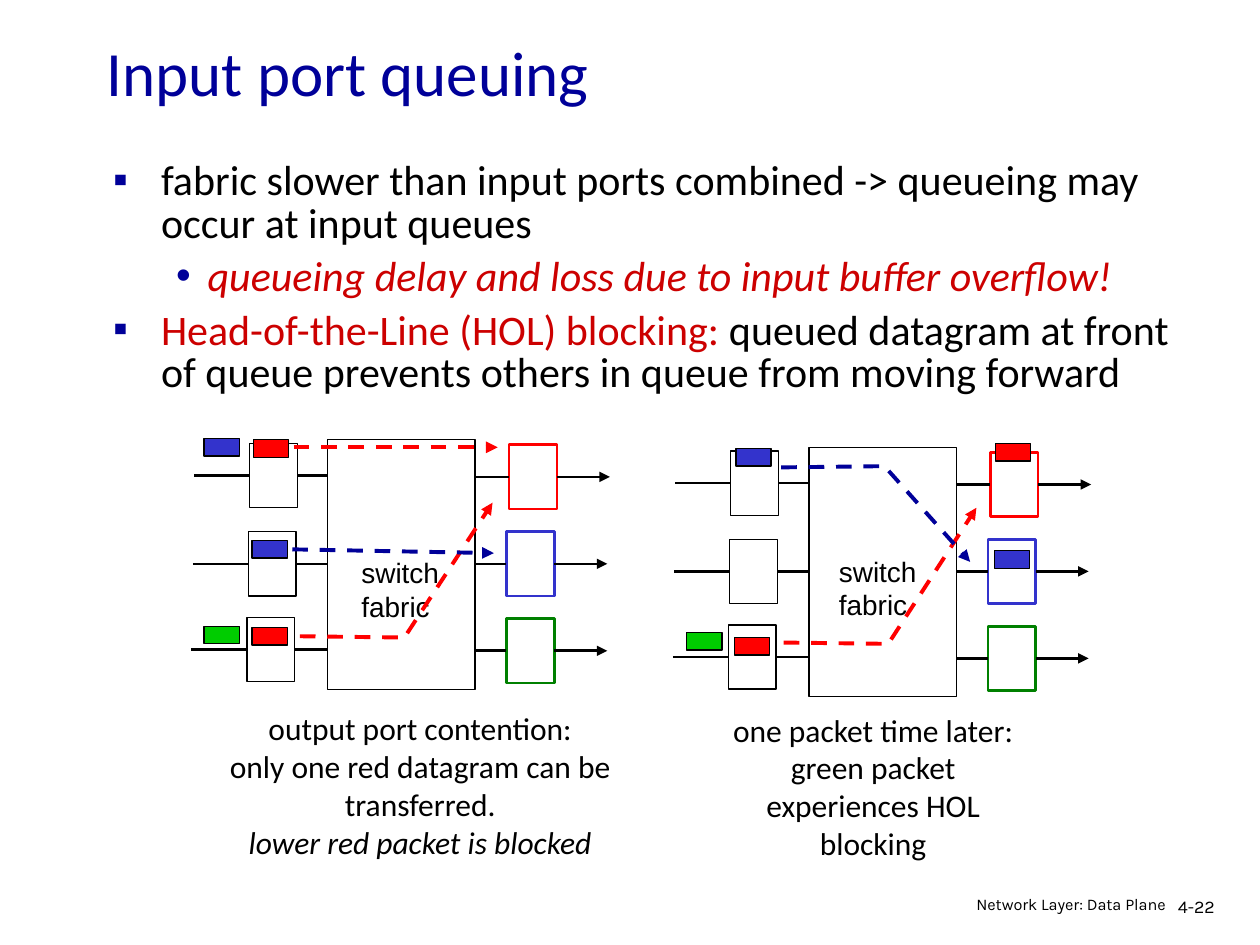
from lxml.etree import SubElement as sub_element
from pptx import Presentation
from pptx.dml.color import RGBColor as Rgb
from pptx.enum.dml import MSO_LINE_DASH_STYLE as Dash
from pptx.enum.shapes import MSO_CONNECTOR as Connector, MSO_SHAPE as Shape
from pptx.enum.text import MSO_ANCHOR as Anchor, PP_ALIGN as Align
from pptx.oxml.ns import qn
from pptx.util import Inches, Pt

COLORS = {"black": "000000", "white": "FFFFFF", "navy": "000099", "crimson": "CC0000",
          "red": "FF0000", "blue": "3333CC", "green": "008000", "lime": "00CC00"}
LEFT, RIGHT = 1, 3  # connection sites of a rectangle


def color(name):
    return Rgb.from_string(COLORS[name])


class SlideBuilder:
    """Holds the slide and the shared style."""
    font, thin, wire, route_width = "Calibri", 0.75, 1.5, 2.25

    def __init__(self, slide):
        self.slide = slide
        self.shapes = slide.shapes

    def stroke(self, item, name, width, dashed=False, arrow=False):
        item.line.color.rgb = color(name)
        item.line.width = Pt(width)
        if dashed:
            item.line.dash_style = Dash.DASH
        if arrow:
            outline = item.element.spPr.find(qn("a:ln"))
            sub_element(outline, qn("a:tailEnd"), type="triangle")

    def box(self, left, top, width, height, fill="white", line="black", weight=thin):
        box = self.shapes.add_shape(Shape.RECTANGLE, *map(Inches, (left, top, width, height)))
        box.shadow.inherit = False
        box.fill.solid()
        box.fill.fore_color.rgb = color(fill)
        self.stroke(box, line, weight)
        return box

    def packet(self, left, top, fill):
        return self.box(left, top, 0.28, 0.14, fill)

    def line(self, start, end, name="black", width=wire, **look):
        line = self.shapes.add_connector(Connector.STRAIGHT, *map(Inches, (*start, *end)))
        self.stroke(line, name, width, **look)
        sub_element(line.element.spPr, qn("a:effectLst"))
        return line

    def route(self, points, name):
        """Dashed arrow through two or more points."""
        if len(points) == 2:
            return self.line(*points, name, self.route_width, dashed=True, arrow=True)
        first, *rest = [tuple(map(Inches, point)) for point in points]
        builder = self.shapes.build_freeform(*first)
        builder.add_line_segments(rest, close=False)
        path = builder.convert_to_shape()
        path.shadow.inherit = False
        path.fill.background()
        self.stroke(path, name, self.route_width, dashed=True, arrow=True)
        return path

    def text(self, place, paragraphs, size, font=font, anchor=Anchor.TOP, **layout):
        """Each paragraph is a list of (text, font values); a bare newline is a line break."""
        frame = self.shapes.add_textbox(*map(Inches, place)).text_frame
        frame.word_wrap = True
        frame.vertical_anchor = anchor
        for index, spans in enumerate(paragraphs):
            para = frame.paragraphs[0] if index == 0 else frame.add_paragraph()
            for key, value in layout.items():
                setattr(para, key, value)
            for words, values in spans:
                if words == "\n":
                    para.add_line_break()
                    continue
                span = para.add_run()
                span.text = words
                look = {"name": font, "size": Pt(size), **values}
                span.font.color.rgb = color(look.pop("color", "black"))
                for key, value in look.items():
                    setattr(span.font, key, value)
        return frame

    def bullet(self, para, sign, margin, hang):
        props = para._p.get_or_add_pPr()
        props.set("marL", str(Inches(margin)))
        props.set("indent", str(-Inches(hang)))
        paint = sub_element(props, qn("a:buClr"))
        sub_element(paint, qn("a:srgbClr"), val=COLORS["navy"])
        sub_element(props, qn("a:buFont"), typeface="Arial")
        sub_element(props, qn("a:buChar"), char=sign)

    def switch(self, dx=0, dy=0):
        """Fabric with three input and three output ports, and their wires."""
        fabric_left, fabric_right = 2.6 + dx, 3.77 + dx
        self.box(fabric_left, 3.49 + dy, 1.17, 1.98)
        inputs = [(1.98, 3.52), (1.97, 4.22), (1.96, 4.9)]
        outputs = [(4.04, 3.53, "red"), (4.02, 4.22, "blue"), (4.02, 4.91, "green")]
        width, height = 0.38, 0.51
        for x, y in inputs:
            left, top = x + dx, y + dy
            middle, right = top + height / 2, left + width
            port = self.box(left, top, width, height)
            self.line((left - 0.44, middle), (left, middle)).end_connect(port, LEFT)
            self.line((right, middle), (fabric_left, middle)).begin_connect(port, RIGHT)
        for x, y, name in outputs:
            left, top = x + dx, y + dy
            middle, right = top + height / 2, left + width
            port = self.box(left, top, width, height, line=name, weight=self.wire)
            self.line((fabric_right, middle), (left, middle)).end_connect(port, LEFT)
            exit_wire = self.line((right, middle), (right + 0.42, middle), arrow=True)
            exit_wire.begin_connect(port, RIGHT)

    def fabric_label(self, left, top):
        self.text((left, top, 0.95, 0.64), [[("switch", {})], [("fabric", {})]], 16,
                  font="Arial")


def main():
    deck = Presentation()
    deck.slide_width, deck.slide_height = Inches(10), Inches(7.5)
    page = SlideBuilder(deck.slides.add_slide(deck.slide_layouts[6]))

    # Title and bullets
    page.text((0.75, 0.32, 8.5, 0.5), [[("Input port queuing", {"color": "navy"})]], 36,
              anchor=Anchor.MIDDLE)
    body = page.text((0.8, 1.23, 8.86, 2.9), [
        [("fabric slower than input ports combined -> queueing may occur at input queues", {})],
        [("queueing delay and loss due to input buffer overflow!",
          {"color": "crimson", "italic": True})],
        [("Head-of-the-Line (HOL) blocking:", {"color": "crimson"}),
         (" queued datagram at front of queue prevents others in queue from moving forward", {})],
    ], 24, line_spacing=0.85, space_before=Pt(6))
    main_style, sub_style = ("▪", 0.38, 0.38), ("•", 0.75, 0.25)
    for para, style in zip(body.paragraphs, (main_style, sub_style, main_style)):
        page.bullet(para, *style)
    body.paragraphs[1].level = 1

    # Left switch: output port contention
    page.switch()
    for packet in [(2.01, 3.49, "red"), (2, 4.29, "blue"), (2, 4.98, "red"),
                   (1.62, 3.48, "blue"), (1.62, 4.97, "lime")]:
        page.packet(*packet)
    page.fabric_label(2.77, 4.36)
    page.route([(2.33, 3.55), (3.95, 3.55)], "red")
    page.route([(2.38, 5.05), (3.21, 5.06), (3.91, 3.99)], "red")
    page.route([(2.32, 4.36), (3.92, 4.39)], "navy")
    page.text((1.48, 5.58, 3.71, 1.3), [
        [("output port contention:", {})],
        [("only one red datagram can be transferred.", {}), ("\n", {}),
         ("lower red packet is blocked", {"italic": True})],
    ], 18, alignment=Align.CENTER)

    # Right switch: one packet time later
    page.switch(3.82, 0.06)
    page.fabric_label(6.56, 4.35)
    for packet in [(7.9, 3.52, "red"), (5.84, 3.56, "blue"), (5.83, 5.06, "red"),
                   (5.45, 5.02, "lime"), (7.89, 4.37, "blue")]:
        page.packet(*packet)
    page.route([(6.22, 5.1), (7.05, 5.11), (7.75, 4.03)], "red")
    page.route([(6.2, 3.71), (7.02, 3.7), (7.7, 4.46)], "navy")
    page.text((5.71, 5.59, 2.44, 1.3),
              [[("one packet time later: green packet experiences HOL blocking", {})]],
              18, alignment=Align.CENTER)

    # Footer
    page.text((9.25, 7.08, 0.61, 0.3), [[("4-22", {})]], 10.2, font="Karla", line_spacing=0.9)
    page.text((6.97, 7.08, 2.38, 0.26), [[("Network Layer: Data Plane", {})]], 9.3,
              font="Karla", line_spacing=0.8, alignment=Align.RIGHT)

    deck.save("out.pptx")


if __name__ == "__main__":
    main()
